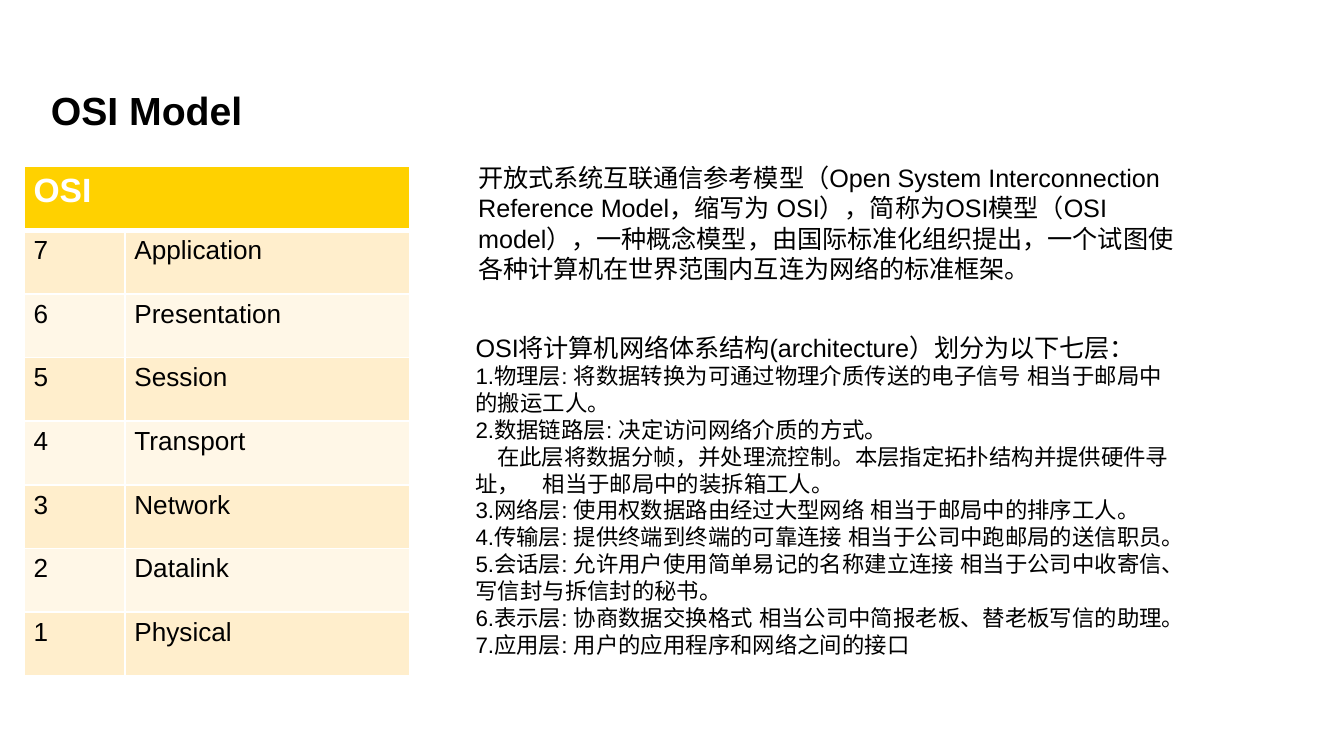
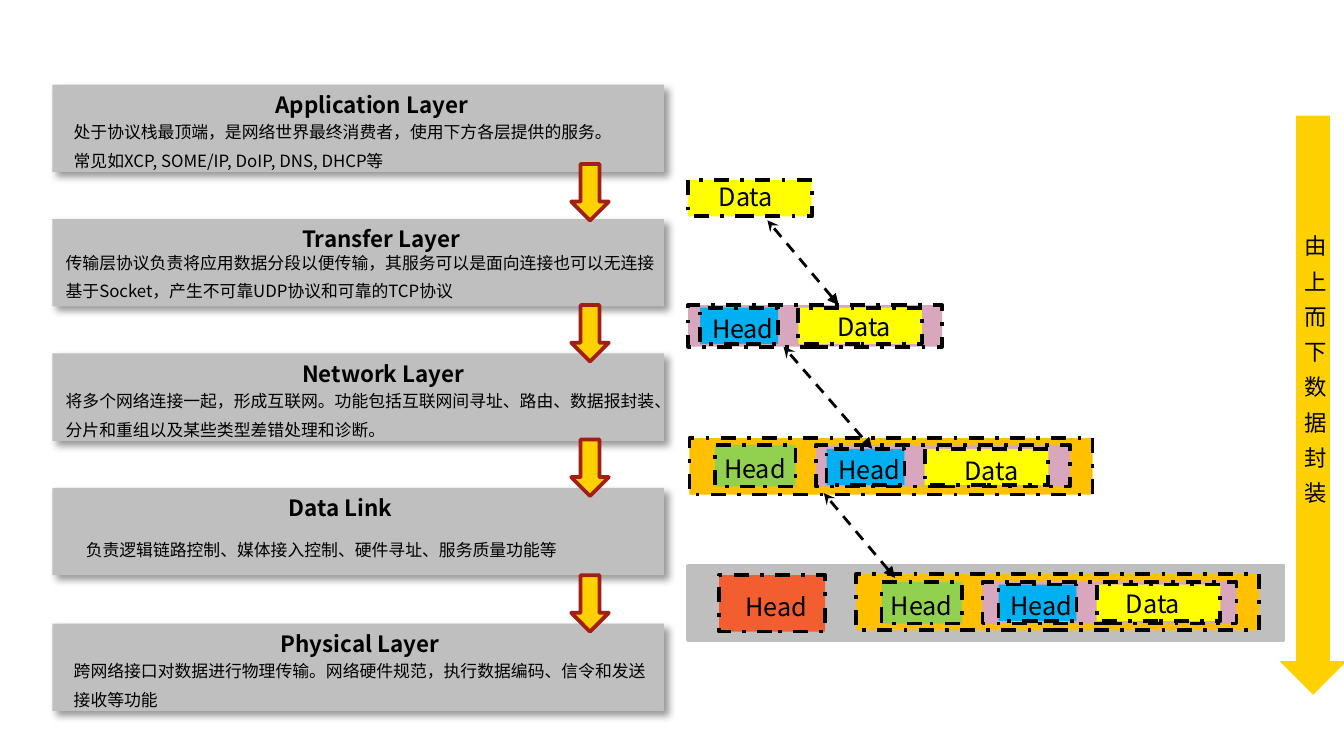
import pptx
import pptx.dml.color
import pptx.enum.dml
import pptx.enum.shapes
import pptx.enum.text
import pptx.oxml
import pptx.oxml.ns
import pptx.util

PX = 9144  # EMU per px, 100 px to the inch
LATIN, CJK = "Arial", "Noto Sans CJK SC"
BLACK, WHITE = "000000", "FFFFFF"
GOLD, GREY, DARK_RED = "FFD100", "BFBFBF", "A31F15"
BAND_DARK, BAND_LIGHT = "FFEECC", "FFF7E7"
YELLOW, BLUE, PINK = "FFFF00", "00B0F0", "D8A6BD"
GREEN, ORANGE, RED = "92D050", "FFC000", "F25E30"
RECTANGLE = pptx.enum.shapes.MSO_SHAPE.RECTANGLE
DOWN_ARROW = pptx.enum.shapes.MSO_SHAPE.DOWN_ARROW
DASH = pptx.enum.dml.MSO_LINE.DASH
DASH_DOT = pptx.enum.dml.MSO_LINE.DASH_DOT

OSI_LAYERS = ["Application", "Presentation", "Session", "Transport",
              "Network", "Datalink", "Physical"]
OSI_SUMMARY = (
    "开放式系统互联通信参考模型（Open System Interconnection Reference Model，"
    "缩写为 OSI），简称为OSI模型（OSI model），一种概念模型，由国际标准化组织提出，"
    "一个试图使各种计算机在世界范围内互连为网络的标准框架。")
OSI_DETAILS = [
    "OSI将计算机网络体系结构(architecture）划分为以下七层：",
    "1.物理层: 将数据转换为可通过物理介质传送的电子信号 相当于邮局中的搬运工人。",
    "2.数据链路层: 决定访问网络介质的方式。",
    "在此层将数据分帧，并处理流控制。本层指定拓扑结构并提供硬件寻址，\t相当于邮局中的装拆箱工人。",
    "3.网络层: 使用权数据路由经过大型网络 相当于邮局中的排序工人。",
    "4.传输层: 提供终端到终端的可靠连接 相当于公司中跑邮局的送信职员。",
    "5.会话层: 允许用户使用简单易记的名称建立连接 相当于公司中收寄信、写信封与拆信封的秘书。",
    "6.表示层: 协商数据交换格式 相当公司中简报老板、替老板写信的助理。",
    "7.应用层: 用户的应用程序和网络之间的接口",
]
# Title, title box (left, width), body box (left, top in card, width), body lines
STACK_LAYERS = [
    ("Application Layer", (195, 168), (45, 23, 424),
     ["处于协议栈最顶端，是网络世界最终消费者，使用下方各层提供的服务。",
      "常见如XCP, SOME/IP, DoIP, DNS, DHCP等"]),
    ("Transfer Layer", (215, 140), (39, 20, 462),
     ["传输层协议负责将应用数据分段以便传输，其服务可以是面向连接也可以无连接",
      "基于Socket，产生不可靠UDP协议和可靠的TCP协议"]),
    ("Network Layer", (215, 144), (39, 23, 475),
     ["将多个网络连接一起，形成互联网。功能包括互联网间寻址、路由、数据报封装、",
      "分片和重组以及某些类型差错处理和诊断。"]),
    ("Data Link", (205, 100), (54, 34, 374),
     ["负责逻辑链路控制、媒体接入控制、硬件寻址、服务质量功能等"]),
    ("Physical Layer", (199, 139), (45, 23, 449),
     ["跨网络接口对数据进行物理传输。网络硬件规范，执行数据编码、信令和发送",
      "接收等功能"]),
]


def px(*lengths):
    return [length * PX for length in lengths]


def color(value):
    return pptx.dml.color.RGBColor.from_string(value)


def add_xml(parent, tag, inner="", attributes=""):
    element = pptx.oxml.parse_xml(
        f'<a:{tag} {pptx.oxml.ns.nsdecls("a")} {attributes}>{inner}</a:{tag}>')
    parent.append(element)


def format_paragraph(paragraph, size, font, text_color=BLACK, bold=False):
    for run in paragraph.runs:
        run.font.size = pptx.util.Pt(size)
        run.font.name = font
        run.font.bold = bold
        run.font.color.rgb = color(text_color)
        add_xml(run.font._element, "ea", attributes=f'typeface="{font}"')


def add_text(shapes, box, lines, size, font=CJK, bold=False, wrap=False, gap=4.5):
    shape = shapes.add_textbox(*px(*box))
    frame = shape.text_frame
    frame.word_wrap = wrap
    frame.auto_size = pptx.enum.text.MSO_AUTO_SIZE.SHAPE_TO_FIT_TEXT
    frame.text = "\n".join(lines)
    for index, paragraph in enumerate(frame.paragraphs):
        paragraph.line_spacing = pptx.util.Pt(round(size * 1.2, 1))
        if index and gap:
            paragraph.space_before = pptx.util.Pt(gap)
        format_paragraph(paragraph, size, font, bold=bold)
    return frame


def add_box(shapes, box, fill, line=None, width=2, dash=None, kind=RECTANGLE):
    shape = shapes.add_shape(kind, *px(*box))
    shape.shadow.inherit = False
    shape.fill.solid()
    shape.fill.fore_color.rgb = color(fill)
    if line:
        shape.line.color.rgb = color(line)
        shape.line.width = pptx.util.Pt(width)
        if dash:
            shape.line.dash_style = dash
    else:
        shape.line.fill.background()
    return shape


# Slide 1: table
def set_cell(cell, text, fill, size, text_color, bold, bottom=1):
    cell.fill.solid()
    cell.fill.fore_color.rgb = color(fill)
    cell.margin_left, cell.margin_right = px(7, 7)
    cell.margin_top, cell.margin_bottom = px(4, 4)
    cell.text_frame.text = text
    format_paragraph(cell.text_frame.paragraphs[0], size, LATIN, text_color, bold)
    properties = cell._tc.get_or_add_tcPr()
    sides = {"lnL": 1, "lnR": 1, "lnT": 1, "lnB": bottom}
    for position, (side, width) in enumerate(sides.items()):
        add_xml(properties, side,
                f'<a:solidFill><a:srgbClr val="{WHITE}"/></a:solidFill>',
                f'w="{pptx.util.Pt(width)}"')
        properties.insert(position, properties[-1])


def add_osi_table(slide):
    row_count = len(OSI_LAYERS) + 1
    table = slide.shapes.add_table(row_count, 2, *px(18, 124, 287, 379)).table
    for column, width in zip(table.columns, px(75, 212)):
        column.width = width
    header = table.cell(0, 0)
    header.merge(table.cell(0, 1))
    set_cell(header, "OSI", GOLD, 18, WHITE, True, bottom=3)
    for row, name in enumerate(OSI_LAYERS, start=1):
        fill = BAND_DARK if row % 2 else BAND_LIGHT
        for column, text in enumerate([str(row_count - row), name]):
            set_cell(table.cell(row, column), text, fill, 14, BLACK, False)


def build_osi_slide(slide):
    add_text(slide.shapes, (346, 116, 545, 101), [OSI_SUMMARY], 13.5, LATIN, wrap=True)
    frame = add_text(slide.shapes, (344, 242, 547, 255), OSI_DETAILS, 12, LATIN,
                     wrap=True, gap=0)
    heading, continued = frame.paragraphs[0], frame.paragraphs[3]
    heading.line_spacing = pptx.util.Pt(16.2)
    for run in heading.runs:
        run.font.size = pptx.util.Pt(13.5)
    properties = continued._p.get_or_add_pPr()
    properties.set("indent", str(16 * PX))
    add_xml(properties, "tabLst", f'<a:tab pos="{55 * PX}" algn="l"/>')
    add_osi_table(slide)
    add_text(slide.shapes, (28, 59, 500, 45), ["OSI Model"], 21, LATIN, bold=True, wrap=True)


# Slide 2: protocol stack on the left
def add_layer_card(slide, top, title, title_box, body_box, lines):
    shapes = slide.shapes.add_group_shape().shapes
    card = add_box(shapes, (39, top, 455, 65), GREY)
    effects = card._element.spPr.find(pptx.oxml.ns.qn("a:effectLst"))
    add_xml(effects, "outerShdw",
            f'<a:srgbClr val="{BLACK}"><a:alpha val="40000"/></a:srgbClr>',
            f'blurRad="{pptx.util.Pt(4)}" dist="{pptx.util.Pt(3)}" '
            'dir="2700000" algn="tl" rotWithShape="0"')
    title_left, title_width = title_box
    add_text(shapes, (title_left, top, title_width, 30), [title], 12, bold=True)
    left, offset, width = body_box
    height = 25 if len(lines) == 1 else 47
    add_text(shapes, (left, top + offset, width, height), lines, 9)


# Slide 2: nested packets on the right
def add_packet(slide, box, fill):
    add_box(slide.shapes, box, fill, BLACK, dash=DASH_DOT)


def add_label(slide, left, top, text):
    width = 68 if text == "Head" else 63
    add_text(slide.shapes, (left, top, width, 33), [text], 13.5)


def add_data(slide, left, top, label_dx, label_dy):
    add_packet(slide, (left, top, 92, 27), YELLOW)
    add_label(slide, left + label_dx, top + label_dy, "Data")


def add_segment(slide, left, top, inner_left, inner_top, label_dx, label_dy):
    add_packet(slide, (left, top, 189, 31), PINK)
    add_packet(slide, (inner_left, inner_top, 58, 27), BLUE)
    add_label(slide, inner_left - 1, inner_top - 1, "Head")
    add_data(slide, inner_left + 73, inner_top, label_dx, label_dy)


def add_network_packet(slide, left, top, inner_top, segment):
    add_packet(slide, (left, top, 300, 42), ORANGE)
    add_packet(slide, (left + 19, inner_top, 60, 31), GREEN)
    add_label(slide, left + 16, inner_top + 1, "Head")
    add_segment(slide, left + 94, inner_top, *segment)


def add_dashed_arrow(slide, *ends):
    connector = slide.shapes.add_connector(
        pptx.enum.shapes.MSO_CONNECTOR.STRAIGHT, *px(*ends))
    connector.line.color.rgb = color(BLACK)
    connector.line.width = pptx.util.Pt(1.5)
    connector.line.dash_style = DASH
    line = connector.line._get_or_add_ln()
    add_xml(line, "headEnd", attributes='type="stealth"')
    add_xml(line, "tailEnd", attributes='type="triangle"')
    add_xml(connector._element.spPr, "effectLst")


def build_stack_slide(slide):
    for index, layer in enumerate(STACK_LAYERS):
        add_layer_card(slide, 63 + 401 * index // 4, *layer)
    for top in (122, 227, 327, 428):
        add_box(slide.shapes, (425, top, 28, 42), GOLD, DARK_RED, kind=DOWN_ARROW)

    # Physical frame
    add_box(slide.shapes, (512, 421, 443, 55), GREY, GREY)
    add_packet(slide, (535, 428, 79, 42), RED)
    add_label(slide, 545, 435, "Head")
    add_network_packet(slide, 637, 427, 433, (743, 435, 12, -2))

    # Inner packets
    add_network_packet(slide, 513, 326, 331, (615, 334, 20, 0))
    add_segment(slide, 512, 227, 521, 229, 19, -2)
    add_data(slide, 512, 134, 13, -4)

    # Direction of encapsulation
    add_box(slide.shapes, (952, 86, 50, 431), GOLD, kind=DOWN_ARROW)
    add_text(slide.shapes, (961, 168, 37, 221), list("由上而下数据封装"), 12)
    for ends in ((571, 164, 624, 227), (583, 258, 649, 334), (613, 367, 666, 430)):
        add_dashed_arrow(slide, *ends)


def main():
    presentation = pptx.Presentation()
    width, = px(1000)
    presentation.slide_width = width
    presentation.slide_height = width * 9 // 16
    blank = presentation.slide_layouts[6]
    for build in (build_osi_slide, build_stack_slide):
        build(presentation.slides.add_slide(blank))
    presentation.save("out.pptx")


if __name__ == "__main__":
    main()
